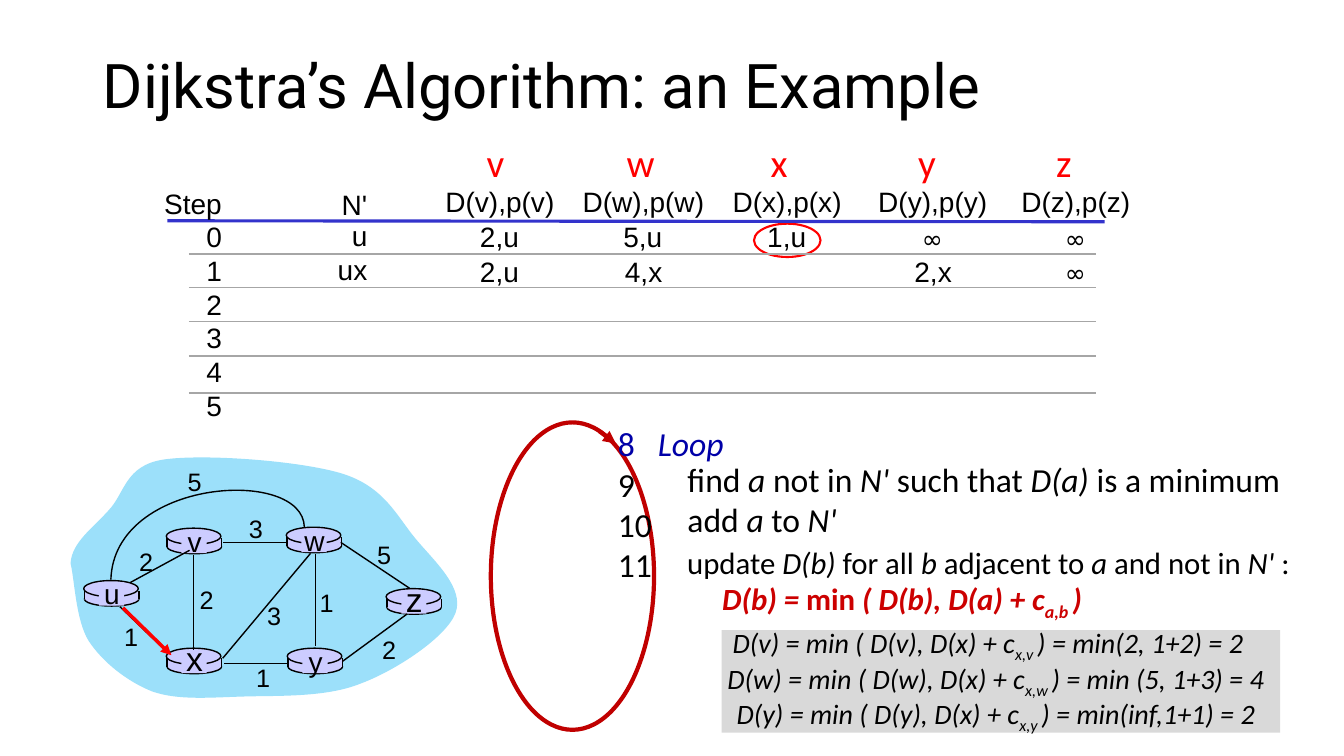
from lxml import etree
from pptx import Presentation
from pptx.dml.color import RGBColor
from pptx.enum import shapes, text
from pptx.oxml.ns import qn
from pptx.util import Pt

LEFT, CENTER, RIGHT = text.PP_ALIGN.LEFT, text.PP_ALIGN.CENTER, text.PP_ALIGN.RIGHT
OVAL, RECT = shapes.MSO_SHAPE.OVAL, shapes.MSO_SHAPE.RECTANGLE
BLACK, RED, DARK_RED, LILAC = "000000", "FF0000", "C00000", "CCCCFF"

prs = Presentation()
prs.slide_width, prs.slide_height = Pt(960), Pt(540)
s = prs.slides.add_slide(prs.slide_layouts[5])


def rgb(color):
    return RGBColor.from_string(color)


def add_text(x, y, w, h, lines, size, font="Arial", color=BLACK, align=LEFT):
    """Add a text box; in each line |...| is italic and _..._ is subscript."""
    tf = s.shapes.add_textbox(Pt(x), Pt(y), Pt(w), Pt(h)).text_frame
    tf.word_wrap = False
    tf.auto_size = text.MSO_AUTO_SIZE.SHAPE_TO_FIT_TEXT
    for n, line in enumerate(lines):
        p = tf.paragraphs[0] if n == 0 else tf.add_paragraph()
        p.alignment = align
        for i, part in enumerate(line.split("|")):
            for j, piece in enumerate(part.split("_")):
                if not piece:
                    continue
                r = p.add_run()
                r.text = piece
                r.font.size, r.font.name = Pt(size), font
                r.font.color.rgb = rgb(color)
                r.font.italic = i % 2 == 1
                if j % 2:
                    r.font._element.set("baseline", "-25000")
    return tf


# Title
title = s.shapes.title
title.left, title.top, title.width, title.height = Pt(66.2), Pt(28.1), Pt(880.6), Pt(70.6)
tf = title.text_frame
tf.text = "Dijkstra’s Algorithm: an Example"
tf.vertical_anchor = text.MSO_ANCHOR.MIDDLE
p = tf.paragraphs[0]
p.alignment, p.line_spacing = LEFT, 0.9
font = p.runs[0].font
font.size, font.name, font.color.rgb = Pt(44), "Roboto", rgb(BLACK)

# Network cloud and the u-w arc: a start point, then three points per cubic curve
cloud = [(50.4, 402.5), (51.1, 387.4), (67, 376.6), (77.8, 364.3),
         (89.3, 352.1), (89.3, 332.6), (116.6, 328.3),
         (144.7, 324), (214.6, 329), (244.8, 338.4),
         (274.3, 347.8), (283, 367.9), (296.6, 384.5),
         (310.3, 401), (331.9, 419.8), (325.4, 437.8),
         (319, 455), (283, 478.8), (257.8, 488.2),
         (233.3, 498.2), (199.4, 496.8), (175, 497.5),
         (149.8, 498.2), (127.4, 500.4), (108.7, 493.9),
         (90.7, 486.7), (73.4, 473), (63.4, 457.9),
         (54, 442.8), (53.3, 414), (50.4, 402.5)]
arc = [(217.4, 376.6), (216.7, 333.4), (81.4, 341.3), (79.2, 414)]
for curve, closed in ((cloud, True), (arc, False)):
    start, *points = [(Pt(x), Pt(y)) for x, y in curve]
    builder = s.shapes.build_freeform(*start)
    builder.add_line_segments(points, close=closed)
    sp = builder.convert_to_shape()
    # Turn every three line segments into one cubic curve
    segments = list(sp._element.iter(qn("a:lnTo")))
    for k in range(0, len(segments), 3):
        first, *others = segments[k:k + 3]
        bezier = etree.Element(qn("a:cubicBezTo"))
        first.addprevious(bezier)
        for segment in (first, *others):
            bezier.append(segment[0])
            segment.getparent().remove(segment)
    sp.shadow.inherit = False
    if closed:
        sp.fill.solid()
        sp.fill.fore_color.rgb = rgb("9CE0FA")
        sp.line.fill.background()
    else:
        sp.fill.background()
        sp.line.color.rgb, sp.line.width = rgb(BLACK), Pt(1)

# Preset shapes: kind, x, y, width, height, fill, line colour, line width
routers = {"u": (59.8, 414.7, 20), "v": (118.8, 377.3, 20), "w": (204.5, 376.6, 20),
           "x": (118.8, 463, 24), "y": (205.2, 463, 20), "z": (275.8, 420.5, 24)}
presets = [(OVAL, 350.6, 301.7, 116.6, 219.6, None, DARK_RED, 3),
           (OVAL, 538.6, 159.8, 47.5, 23.8, None, RED, 1.5),
           (RECT, 515.5, 450, 398.9, 73.4, "D9D9D9", None, 0)]
for x, y, size in routers.values():
    presets += [(OVAL, x + 0.5, y + 8.2, 39, 10, LILAC, BLACK, 1),
                (RECT, x + 0.5, y + 7.2, 39, 6.2, LILAC, None, 0),
                (OVAL, x, y, 39, 11.5, LILAC, BLACK, 1),
                (RECT, x + 10.8, y + 1.4, 18, 16.5, LILAC, None, 0)]
for kind, x, y, w, h, fill, line, width in presets:
    sp = s.shapes.add_shape(kind, Pt(x), Pt(y), Pt(w), Pt(h))
    sp.shadow.inherit = False
    if fill:
        sp.fill.solid()
        sp.fill.fore_color.rgb = rgb(fill)
    else:
        sp.fill.background()
    if line:
        sp.line.color.rgb, sp.line.width = rgb(line), Pt(width)
    else:
        sp.line.fill.background()

# Straight lines: x1, y1, x2, y2, colour, width, arrowhead
links = [(92.9, 416.2, 135.4, 393.1), (225.4, 396, 225.4, 461.5),
         (138.2, 396.7, 138.2, 464.4), (159.1, 470.2, 221.8, 395.3),
         (244.8, 472.3, 290.9, 438.5), (205.9, 473.8, 159.8, 473.8),
         (120.2, 466.6, 85.7, 433.4), (205.2, 387.4, 159.1, 387.4),
         (293, 420.5, 243.4, 387.4)]
router_sides = [(x + dx, y + 7.2, x + dx, y + 13.4)
                for x, y, size in routers.values() for dx in (0.5, 39.5)]
straight = [(119.5, 157.7, 789.1, 158.4, "3333CC", 2.25, False)]
straight += [(135, y, 783, y, "A6A6A6", 1, False) for y in (181.4, 205.2, 229.7, 254.2, 280.8)]
straight += [(*ends, BLACK, 1, False) for ends in router_sides + links]
straight += [(87.8, 434.2, 122.4, 468, RED, 2.5, True),
             (428.4, 308.2, 439.9, 316.8, DARK_RED, 3, True)]
for x1, y1, x2, y2, color, width, arrow in straight:
    c = s.shapes.add_connector(shapes.MSO_CONNECTOR.STRAIGHT, Pt(x1), Pt(y1), Pt(x2), Pt(y2))
    c.line.color.rgb, c.line.width = rgb(color), Pt(width)
    sp_pr = c._element.spPr
    if arrow:
        etree.SubElement(sp_pr.find(qn("a:ln")), qn("a:tailEnd"), type="triangle")
    etree.SubElement(sp_pr, qn("a:effectLst"))

# Router names and link costs
for name, (x, y, size) in routers.items():
    top = y - (6.5 if size == 20 else 10.8)
    add_text(x + 5.8, top, 28.8, size + 11, [name], size, align=CENTER)
costs = [("2", 92.2, 386.6), ("2", 135.4, 414), ("1", 81.4, 440.6), ("3", 183.6, 425.5),
         ("1", 175.7, 469.4), ("1", 221, 416.2), ("2", 265.7, 449.3), ("5", 262.1, 381.6),
         ("3", 170.6, 362.9), ("5", 126.7, 329.8)]
for cost, x, y in costs:
    add_text(x, y, 24.5, 28.8, [cost], 18, align=CENTER)

# Distance table: step numbers, then N', then one column per node
tf = add_text(110.2, 129.6, 55.4, 175, ["Step", *"012345"], 20, align=RIGHT)
for p in tf.paragraphs:
    p.line_spacing = Pt(24)
for value, y, w in (("N'", 130.3, 33), ("u", 152.6, 26), ("ux", 176.8, 36)):
    add_text(269.5 - w, y, w, 31.7, [value], 20, align=RIGHT)
columns = [("v", 356.6, 354.2, "2,u", "2,u"), ("w", 459, 457.9, "5,u", "4,x"),
           ("x", 561.8, 557, "1,u", ""), ("y", 665.8, 662.4, "∞", "2,x"),
           ("z", 768, 761, "∞", "∞")]
for node, center, letter_center, *distances in columns:
    letter_w, header_w = (34.6, 102.2) if node == "w" else (27.4, 93)
    add_text(letter_center - letter_w / 2, 95, letter_w, 41, [node], 28, "Calibri", RED)
    add_text(center - header_w / 2, 128.5, header_w, 31.7, [f"D({node}),p({node})"], 20,
             align=RIGHT)
    for value, y in zip(distances, (153.6, 178)):
        if value == "∞":
            add_text(center - 14.75, y + 2.3, 29.5, 28.8, [value], 18, "Comic Neue", align=RIGHT)
        elif value:
            add_text(center - 21.2, y, 42.4, 31.7, [value], 20, align=RIGHT)

# Pseudocode
tf = add_text(434.2, 298.8, 96.5, 123.4, ["8\t|Loop|", "9", "10", "11"], 24, "Calibri")
p = tf.paragraphs[0]
tabs = etree.SubElement(p._p.get_or_add_pPr(), qn("a:tabLst"))
etree.SubElement(tabs, qn("a:tab"), pos=str(Pt(28.6)), algn="l")
for r in p.runs:
    r.font.color.rgb = rgb("0000A8")
add_text(484, 324.1, 456, 65,
         ["find |a| not in |N' |such that |D(a) |is a minimum", "add |a| to |N'|"], 24, "Calibri")
tf = add_text(483.8, 384.5, 454.3, 60.5,
              ["update |D(b) |for all |b| adjacent to |a| and not in |N' |:",
               "|D(b) = |min| ( D(b), D(a) + c_a,b _)|"], 22, "Calibri")
p = tf.paragraphs[1]
p._p.get_or_add_pPr().set("marL", str(Pt(25)))
for r in p.runs:
    r.font.bold, r.font.color.rgb = True, rgb("CC0000")

# Worked updates
updates = [("v", "min(2, 1+2) = 2", 516.2, 389.5), ("w", "min (5, 1+3) = 4", 512.6, 408.2),
           ("y", "min(inf,1+1) = 2", 519.1, 399.6)]
for i, (node, result, x, w) in enumerate(updates):
    formula = f"|D({node}) = min ( D({node}), D(x) + c_x,{node} _) = {result}|"
    add_text(x, 443.5 + 25.2 * i, w, 31.7, [formula], 20, "Calibri")

prs.save("out.pptx")
